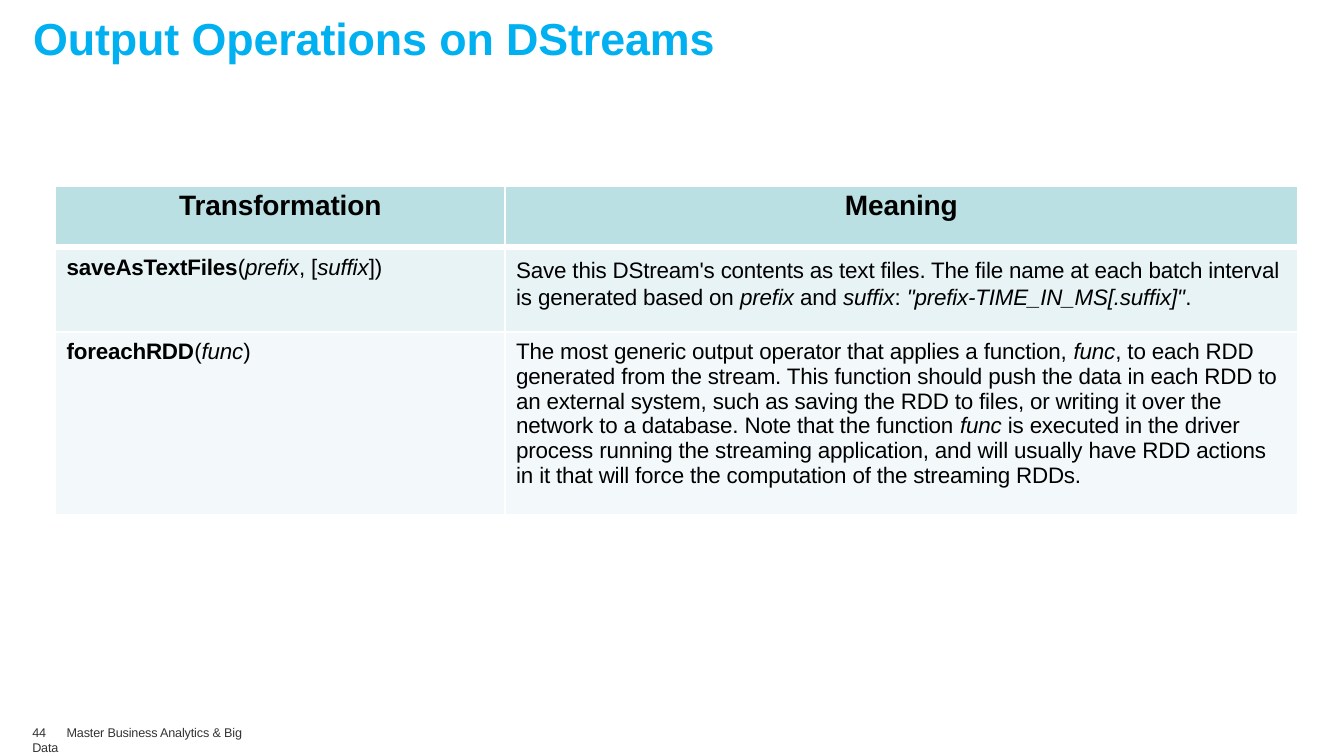
from dataclasses import dataclass

from lxml.etree import SubElement
from pptx import Presentation
from pptx.dml.color import RGBColor
from pptx.enum.text import PP_ALIGN
from pptx.oxml.ns import qn
from pptx.util import Inches, Pt


@dataclass(frozen=True)
class Theme:
    font: str = "Arial"
    title: str = "00B0F0"
    text: str = "000000"
    footer: str = "333333"
    border: str = "FFFFFF"
    row_fills: tuple = ("BBE0E3", "E7F3F4", "F3F9FA")
    title_size: int = 32
    header_size: int = 20
    body_size: int = 16
    footer_size: int = 9
    thin: float = 1.5
    thick: float = 4.25
    tracking: float = -0.1


HEADERS = ("Transformation", "Meaning")

# Each run is a text and its style: "b" bold, "i" italic, "" plain.
SAVE_NAME = [("saveAsTextFiles", "b"), ("(", ""), ("prefix", "i"), (", [", ""),
             ("suffix", "i"), ("])", "")]
SAVE_MEANING = [
    ("Save this DStream's contents as text files. The file name at each batch "
     "interval is generated based on ", ""),
    ("prefix ", "i"), ("and ", ""), ("suffix", "i"), (": ", ""),
    ('"prefix-TIME_IN_MS[.suffix]"', "i"), (".", "")]
FOREACH_NAME = [("foreachRDD", "b"), ("(", ""), ("func", "i"), (")", "")]
FOREACH_MEANING = [
    ("The most generic output operator that applies a function, ", ""),
    ("func", "i"),
    (", to each RDD generated from the stream. This function should push the "
     "data in each RDD to an external system, such as saving the RDD to files, "
     "or writing it over the network to a database. Note that the function ", ""),
    ("func ", "i"),
    ("is executed in the driver process running the streaming application, and "
     "will usually have RDD actions in it that will force the computation of "
     "the streaming RDDs.", "")]


class SlideBuilder:
    def __init__(self, prs, theme):
        self.theme = theme
        self.slide = prs.slides.add_slide(prs.slide_layouts[6])

    def add_runs(self, p, runs, size, color):
        for text, style in runs:
            r = p.add_run()
            r.text = text
            r.font.name = self.theme.font
            r.font.size = Pt(size)
            r.font.bold = style == "b"
            r.font.italic = style == "i"
            r.font.color.rgb = RGBColor.from_string(color)
            r._r.get_or_add_rPr().set("spc", str(round(self.theme.tracking * 100)))

    def text(self, box, runs, size, color, insets=(0, 0, 0), tab=None):
        """Add a text box; insets are left, top and right, tab a stop in inches."""
        sp = self.slide.shapes.add_textbox(*(Inches(v) for v in box))
        tf = sp.text_frame
        tf.word_wrap = True
        tf.margin_left, tf.margin_top, tf.margin_right = (Inches(v) for v in insets)
        tf.margin_bottom = 0
        p = tf.paragraphs[0]
        if tab:
            tabs = SubElement(p._p.get_or_add_pPr(), qn("a:tabLst"))
            SubElement(tabs, qn("a:tab"), pos=str(Inches(tab)), algn="l")
        self.add_runs(p, runs, size, color)

    def table(self, left, top, widths, heights):
        table = self.slide.shapes.add_table(
            len(heights), len(widths), Inches(left), Inches(top),
            Inches(sum(widths)), Inches(sum(heights))).table
        for column, width in zip(table.columns, widths):
            column.width = Inches(width)
        for row, height in zip(table.rows, heights):
            row.height = Inches(height)
        return table

    def cell(self, table, row, col, runs, size, top, align=PP_ALIGN.LEFT,
             side=0.11, spacing=None):
        cell = table.cell(row, col)
        cell.margin_left = cell.margin_right = Inches(side)
        cell.margin_top, cell.margin_bottom = Inches(top), 0
        p = cell.text_frame.paragraphs[0]
        p.alignment = align
        if spacing:
            p.line_spacing = Pt(spacing)
        self.add_runs(p, runs, size, self.theme.text)
        self.borders(cell, row)
        cell.fill.solid()
        cell.fill.fore_color.rgb = RGBColor.from_string(self.theme.row_fills[row])

    def borders(self, cell, row):
        """Draw thin borders, with a thick one between header and body."""
        thick_side = {0: "a:lnB", 1: "a:lnT"}.get(row)
        for side in ("a:lnL", "a:lnR", "a:lnT", "a:lnB"):
            width = self.theme.thick if side == thick_side else self.theme.thin
            ln = SubElement(cell._tc.get_or_add_tcPr(), qn(side), w=str(Pt(width)))
            fill = SubElement(ln, qn("a:solidFill"))
            SubElement(fill, qn("a:srgbClr"), val=self.theme.border)


def main():
    prs = Presentation()
    prs.slide_width, prs.slide_height = Inches(13.33), Inches(7.5)
    theme = Theme()
    s = SlideBuilder(prs, theme)

    s.text((0.32, 0.06, 6.9, 0.56), [("Output Operations on DStreams", "b")],
           theme.title_size, theme.title, insets=(0.01, 0.05, 0))

    table = s.table(0.55, 1.85, (4.46, 7.86), (0.6, 0.84, 1.82))
    for col, header in enumerate(HEADERS):
        s.cell(table, 0, col, [(header, "b")], theme.header_size, 0.04,
               PP_ALIGN.CENTER, side=0)
    body = ((SAVE_NAME, SAVE_MEANING, 0.1, 19),
            (FOREACH_NAME, FOREACH_MEANING, 0.08, 17.7))
    for row, (name, meaning, top, spacing) in enumerate(body, start=1):
        s.cell(table, row, 0, name, theme.body_size, 0.08)
        s.cell(table, row, 1, meaning, theme.body_size, top, spacing=spacing)

    s.text((0.28, 7.19, 2.42, 0.17), [("44\tMaster Business Analytics & Big Data", "")],
           theme.footer_size, theme.footer, insets=(0.04, 0, 0.1), tab=0.34)

    prs.save("out.pptx")


if __name__ == "__main__":
    main()
